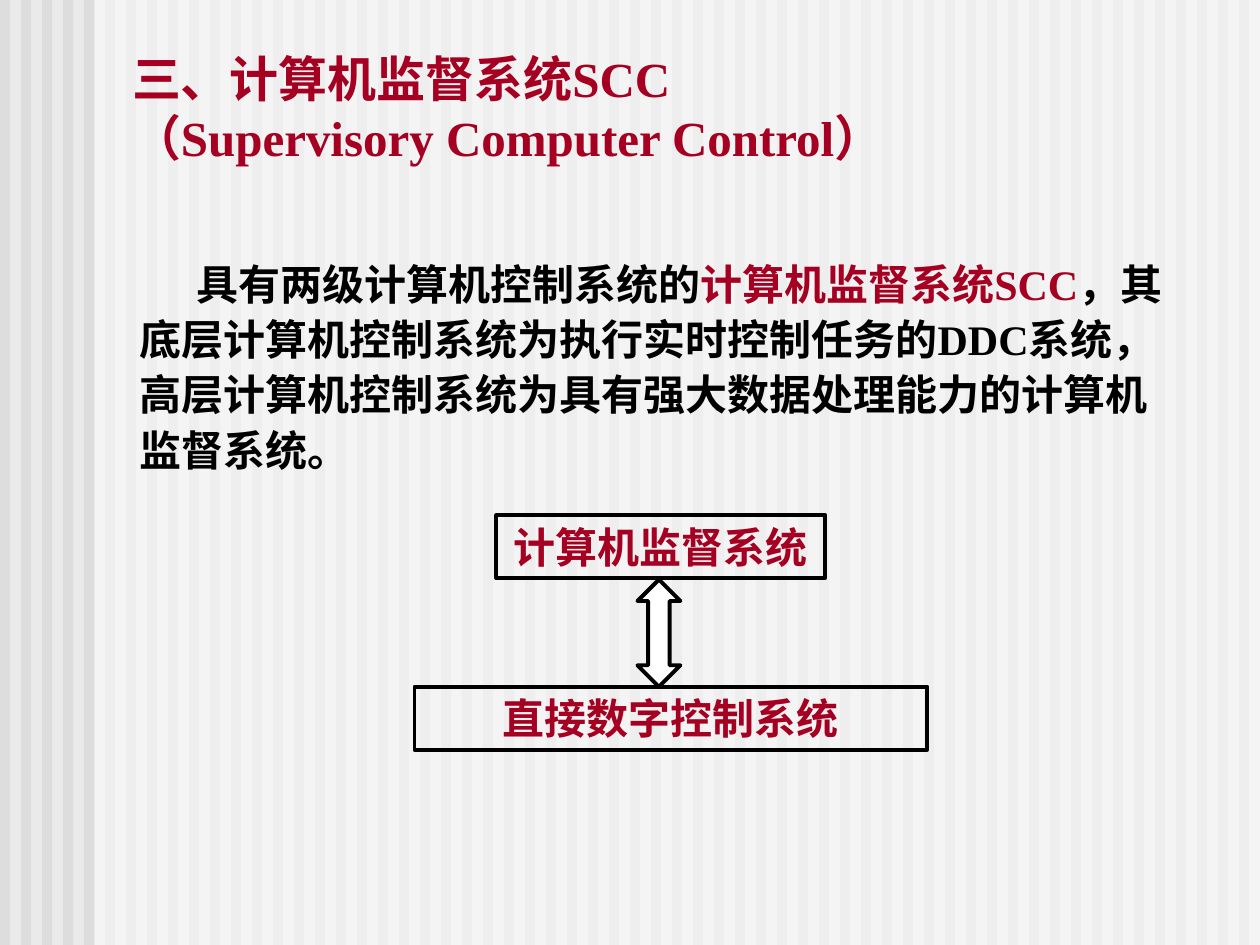
from dataclasses import dataclass

from lxml import etree
from pptx import Presentation
from pptx.dml.color import RGBColor
from pptx.enum.shapes import MSO_SHAPE
from pptx.enum.text import MSO_ANCHOR, PP_ALIGN
from pptx.oxml.ns import qn
from pptx.util import Inches, Pt

RECTANGLE = MSO_SHAPE.RECTANGLE
UP_DOWN_ARROW = MSO_SHAPE.UP_DOWN_ARROW
TOP, BOTTOM = MSO_ANCHOR.TOP, MSO_ANCHOR.BOTTOM
LEFT, CENTER = PP_ALIGN.LEFT, PP_ALIGN.CENTER


@dataclass(frozen=True)
class Theme:
    font: str = "Times New Roman"
    title_size: int = 28
    text_size: int = 24
    line_width: float = 2.25
    accent: str = "A50021"
    ink: str = "000000"
    white: str = "FFFFFF"
    background: str = "EAEAEA"
    stripe: str = "DDDDDD"


THEME = Theme()
SLIDE_WIDTH, SLIDE_HEIGHT = 10, 7.5
STRIPE_COUNT = 60
STRIPE_WIDTH = 0.08
VEIL_LEFT = 0.75
VEIL_OPACITY = 50


def rgb(color):
    return RGBColor.from_string(color)


def set_values(target, values):
    for name, value in values.items():
        setattr(target, name, value)


def add_runs(paragraph, runs, size):
    """Add (text, colour) pairs; a newline in the text is a line break."""
    for text, color in runs:
        for index, line in enumerate(text.split("\n")):
            if index:
                paragraph.add_line_break()
            run = paragraph.add_run()
            run.text = line
            set_values(run.font, {"name": THEME.font, "size": Pt(size), "bold": True})
            run.font.color.rgb = rgb(color)


def fill_text(shape, runs, size, anchor=TOP, align=LEFT, spacing=1.0):
    frame = shape.text_frame
    set_values(frame, {
        "word_wrap": True,
        "vertical_anchor": anchor,
        "margin_left": Inches(0.1),
        "margin_right": Inches(0.1),
        "margin_top": Inches(0.05),
        "margin_bottom": Inches(0.05),
    })
    paragraph = frame.paragraphs[0]
    set_values(paragraph, {"alignment": align, "line_spacing": spacing})
    add_runs(paragraph, runs, size)
    return paragraph


def add_text(slide, box, runs, size, **layout):
    textbox = slide.shapes.add_textbox(*map(Inches, box))
    return fill_text(textbox, runs, size, **layout)


def add_figure(shapes, kind, box, fill=None, line=None):
    figure = shapes.add_shape(kind, *map(Inches, box))
    figure.shadow.inherit = False
    if fill:
        figure.fill.solid()
        figure.fill.fore_color.rgb = rgb(fill)
    else:
        figure.fill.background()
    if line:
        figure.line.color.rgb = rgb(line)
        figure.line.width = Pt(THEME.line_width)
    else:
        figure.line.fill.background()
    return figure


def set_opacity(shape, percent):
    color = shape.fill._xPr.find(qn("a:solidFill"))[0]
    etree.SubElement(color, qn("a:alpha")).set("val", str(percent * 1000))


def add_striped_background(slide):
    """Lay stripes over the whole page and a pale veil over all but its left edge."""
    slide.background.fill.solid()
    slide.background.fill.fore_color.rgb = rgb(THEME.background)
    pitch = SLIDE_WIDTH / STRIPE_COUNT
    for index in range(STRIPE_COUNT):
        add_figure(slide.shapes, RECTANGLE,
                   (index * pitch, 0, STRIPE_WIDTH, SLIDE_HEIGHT), fill=THEME.stripe)
    veil = add_figure(slide.shapes, RECTANGLE,
                      (VEIL_LEFT, 0, SLIDE_WIDTH - VEIL_LEFT, SLIDE_HEIGHT),
                      fill=THEME.white)
    set_opacity(veil, VEIL_OPACITY)


def add_explanation(slide):
    paragraph = add_text(slide, (0.63, 1.96, 8.87, 2.13), [
        ("具有两级计算机控制系统的", THEME.ink),
        ("计算机监督系统SCC", THEME.accent),
        ("，其底层计算机控制系统为执行实时控制任务的DDC系统，"
         "高层计算机控制系统为具有强大数据处理能力的计算机监督系统。", THEME.ink),
    ], THEME.text_size, spacing=1.1)
    properties = paragraph._p.get_or_add_pPr()
    properties.set("marL", str(Inches(0.38)))
    properties.set("indent", str(Inches(0.45)))


def add_control_levels(slide):
    """Draw the two control levels and the arrow that joins them."""
    group = slide.shapes.add_group_shape()
    levels = [
        ("计算机监督系统", (3.94, 4.09, 2.61, 0.5)),
        ("直接数字控制系统", (3.29, 5.45, 4.07, 0.5)),
    ]
    for label, box in levels:
        level = add_figure(group.shapes, RECTANGLE, box, line=THEME.ink)
        fill_text(level, [(label, THEME.accent)], THEME.text_size, align=CENTER)
    add_figure(group.shapes, UP_DOWN_ARROW, (5.06, 4.6, 0.34, 0.85),
               fill=THEME.white, line=THEME.ink)


def main():
    presentation = Presentation()
    presentation.slide_width = Inches(SLIDE_WIDTH)
    presentation.slide_height = Inches(SLIDE_HEIGHT)
    slide = presentation.slides.add_slide(presentation.slide_layouts[6])
    add_striped_background(slide)
    add_explanation(slide)
    add_text(slide, (0.95, 0.34, 7.07, 1.03),
             [("三、计算机监督系统SCC\n（Supervisory Computer Control）", THEME.accent)],
             THEME.title_size, anchor=BOTTOM)
    add_control_levels(slide)
    presentation.save("out.pptx")


if __name__ == "__main__":
    main()
